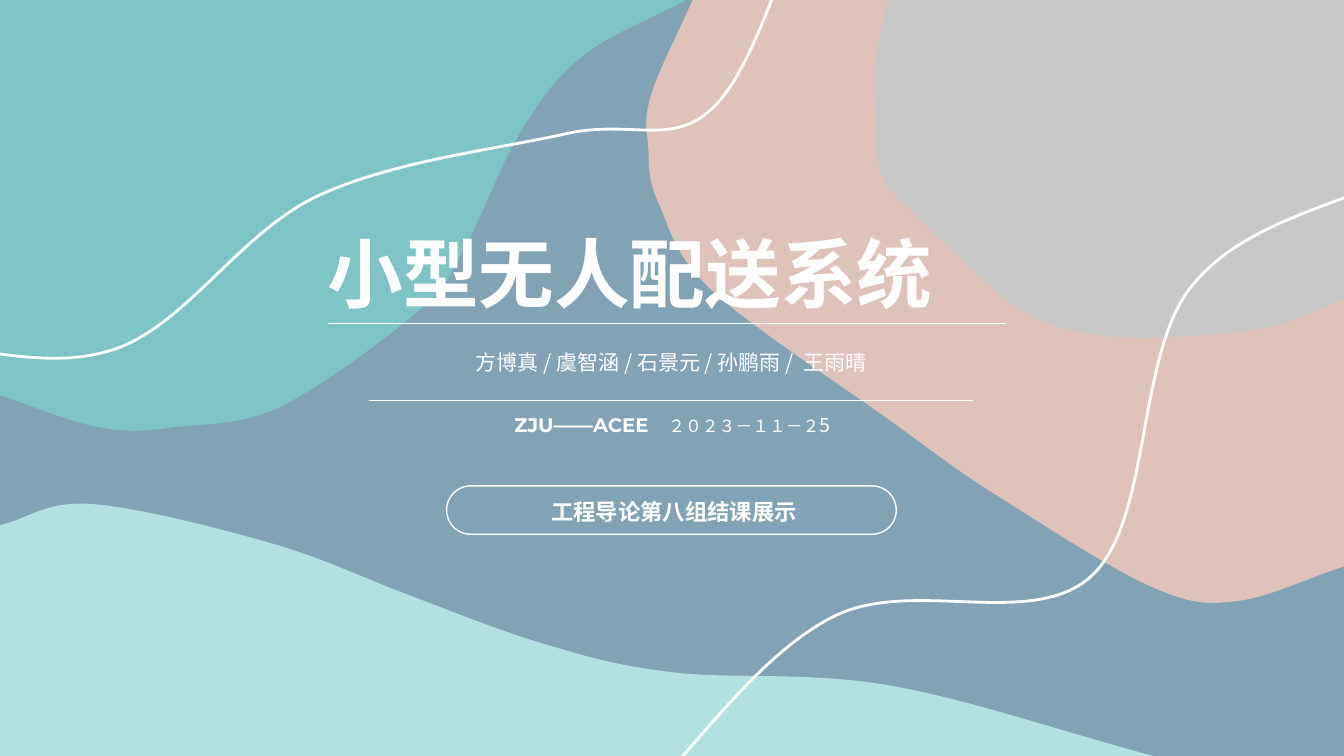
"""Title slide: smooth colour fields and white curves, each led through a few anchor points."""
from lxml.etree import SubElement
from pptx import Presentation
from pptx.dml.color import RGBColor
from pptx.enum.shapes import MSO_CONNECTOR, MSO_SHAPE
from pptx.enum.text import MSO_AUTO_SIZE, PP_ALIGN
from pptx.oxml.ns import qn
from pptx.util import Inches, Pt

CELL = Inches(0.01)
COLUMNS, ROWS = 1333, 750
TOP_LEFT, TOP_RIGHT, BOTTOM_LEFT = (0, 0), (COLUMNS, 0), (0, ROWS)
BLUE, PINK, GREY, TEAL, MINT, WHITE = "82A3B6", "DFC3BA", "C8C8C8", "7EC3C6", "B3E0E1", "FFFFFF"
CHINESE, LATIN = "Noto Sans CJK SC", "Montserrat"
colour = RGBColor.from_string


def add_smooth_outline(slide, anchors, corner=None):
    """Lead a Catmull-Rom curve through the anchors; a corner closes it into a field."""
    (x0, y0), (x1, y1) = anchors[:2]
    (x2, y2), (x3, y3) = anchors[-2:]
    extended = [(2 * x0 - x1, 2 * y0 - y1), *anchors, (2 * x3 - x2, 2 * y3 - y2)]
    points = []
    for before, start, end, after in zip(extended, extended[1:], extended[2:], extended[3:]):
        leaving = [s + (e - b) / 6 for b, s, e in zip(before, start, end)]
        arriving = [e - (a - s) / 6 for s, e, a in zip(start, end, after)]
        points += [leaving, arriving, end]

    builder = slide.shapes.build_freeform(*anchors[0], scale=CELL)
    builder.add_line_segments(points + ([corner] if corner else []), close=bool(corner))
    shape = builder.convert_to_shape()
    shape.shadow.inherit = False
    segments = list(shape.element.iter(qn("a:lnTo")))[:len(points)]
    for first, second, third in zip(segments[::3], segments[1::3], segments[2::3]):
        first.tag = qn("a:cubicBezTo")
        for segment in (second, third):
            first.append(segment[0])
            segment.getparent().remove(segment)
    return shape


def set_font(font, typeface, size, bold):
    """Style Latin and East Asian characters alike."""
    font.name, font.size, font.bold = typeface, Pt(size), bold
    font.color.rgb = colour(WHITE)
    SubElement(font._rPr, qn("a:ea"), typeface=typeface)


presentation = Presentation()
presentation.slide_width, presentation.slide_height = COLUMNS * CELL, ROWS * CELL
slide = presentation.slides.add_slide(presentation.slide_layouts[6])

backdrop = slide.shapes.add_shape(
    MSO_SHAPE.RECTANGLE, 0, 0, presentation.slide_width, presentation.slide_height)
backdrop.shadow.inherit = False
backdrop.fill.solid()
backdrop.fill.fore_color.rgb = colour(BLUE)
backdrop.line.fill.background()

pink_edge = [(COLUMNS, 562), (1229, 596), (1144, 583), (991, 493), (884, 418),
             (707, 289), (653, 201), (643, 147), (645, 97), (687, 0)]
grey_edge = [(COLUMNS, 297), (1256, 325), (1145, 335), (1064, 328), (1010, 306),
             (957, 260), (909, 214), (874, 173), (868, 109), (868, 60), (881, 0)]
teal_edge = [(681, 0), (580, 54), (518, 128), (461, 245), (418, 306),
             (279, 403), (171, 424), (99, 424), (0, 392)]
mint_edge = [(0, 521), (90, 500), (269, 539), (402, 589), (540, 639),
             (667, 667), (882, 680), (1144, ROWS)]
for fill, edge, corner in [
    (PINK, pink_edge, TOP_RIGHT),
    (GREY, grey_edge, TOP_RIGHT),
    (TEAL, teal_edge, TOP_LEFT),
    (MINT, mint_edge, BOTTOM_LEFT),
]:
    field = add_smooth_outline(slide, edge, corner)
    field.fill.solid()
    field.fill.fore_color.rgb = colour(fill)
    field.line.fill.background()

upper_curve = [(-104, 338), (115, 346), (312, 196), (560, 133), (706, 108), (804, -93)]
lower_curve = [(618, 814), (826, 612), (1083, 571), (1181, 285), (1406, 165)]
for anchors in (upper_curve, lower_curve):
    curve = add_smooth_outline(slide, anchors)
    curve.fill.background()
    curve.line.color.rgb = colour(WHITE)
    curve.line.width = Pt(2)

title_rule, names_rule = (325, 998, 321), (366, 965, 397)
for left, right, row in (title_rule, names_rule):
    rule = slide.shapes.add_connector(
        MSO_CONNECTOR.STRAIGHT, left * CELL, row * CELL, right * CELL, row * CELL)
    rule.line.color.rgb = colour(WHITE)
    rule.line.width = Pt(0.5)
    SubElement(rule.element.spPr, qn("a:effectLst"))

pill_width, pill_height = 446, 48
pill = slide.shapes.add_shape(
    MSO_SHAPE.ROUNDED_RECTANGLE, (COLUMNS - pill_width) // 2 * CELL, 482 * CELL,
    pill_width * CELL, pill_height * CELL)
pill.adjustments[0] = 0.5
pill.shadow.inherit = False
pill.fill.background()
pill.line.color.rgb = colour(WHITE)
pill.line.width = Pt(1)

title = [("小型无人配送系统", CHINESE, 54, True)]
names = [("方博真 / 虞智涵 / 石景元 / 孙鹏雨 /  王雨晴", CHINESE, 15, False)]
school_and_date = [("ZJU——ACEE　", LATIN, 14, True),
                   ("２０２３－１１－２", CHINESE, 12, False),
                   ("5", CHINESE, 14, False)]
occasion = [("工程导论第八组结课展示", CHINESE, 16, True)]
for runs, box, wrap, alignment, spacing in [
    (title, (315, 220, 694, 101), True, PP_ALIGN.JUSTIFY, None),
    (names, (364, 337, 603, 39), True, PP_ALIGN.CENTER, 1.2),
    (school_and_date, (376, 405, 582, 34), True, PP_ALIGN.CENTER, None),
    (occasion, (537, 489, 267, 37), False, PP_ALIGN.LEFT, None),
]:
    text_frame = slide.shapes.add_textbox(*(length * CELL for length in box)).text_frame
    text_frame.word_wrap = wrap
    text_frame.auto_size = MSO_AUTO_SIZE.SHAPE_TO_FIT_TEXT
    paragraph = text_frame.paragraphs[0]
    paragraph.alignment = alignment
    paragraph.line_spacing = spacing
    for text, typeface, size, bold in runs:
        run = paragraph.add_run()
        run.text = text
        set_font(paragraph.font if len(runs) == 1 else run.font, typeface, size, bold)

presentation.save("out.pptx")
